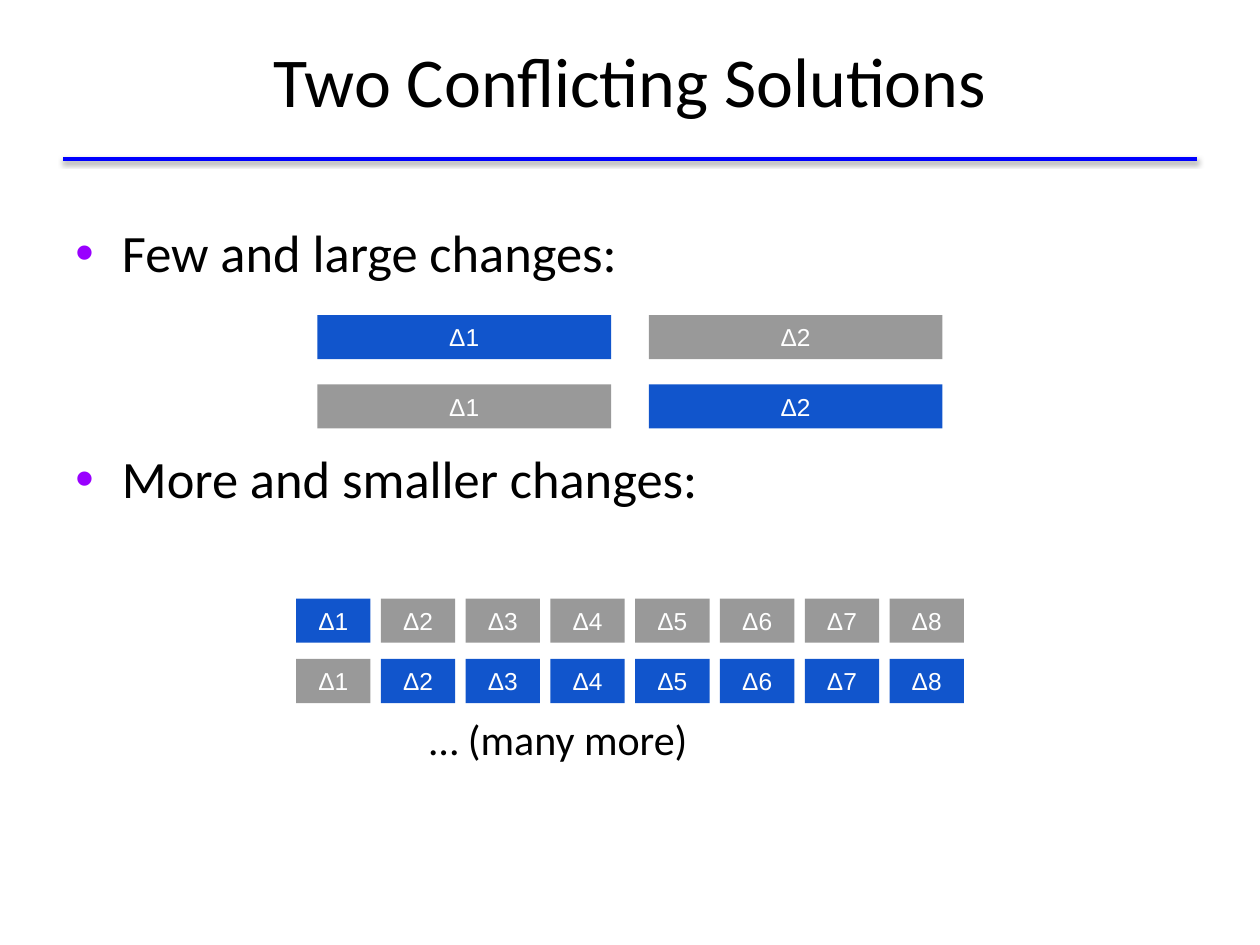
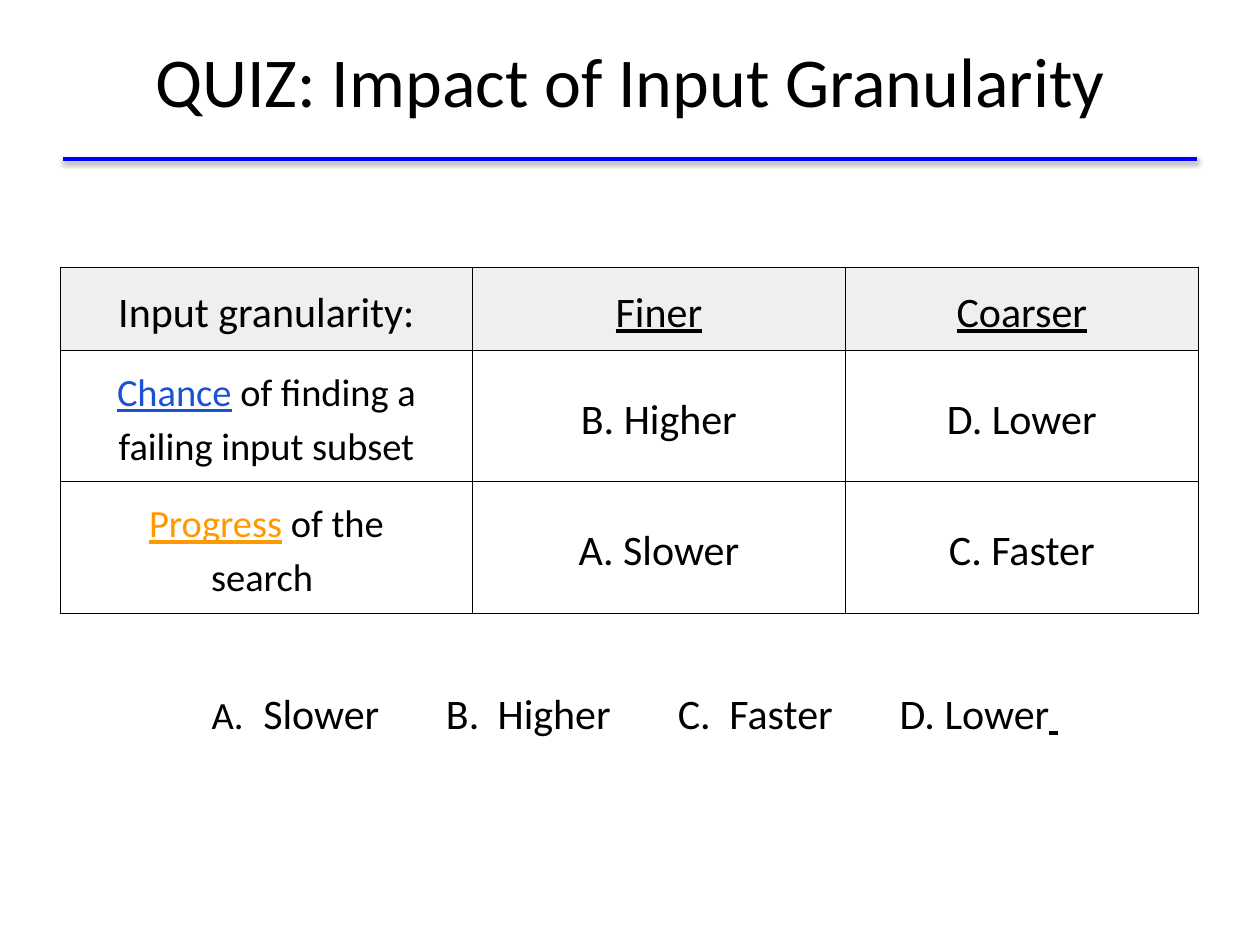
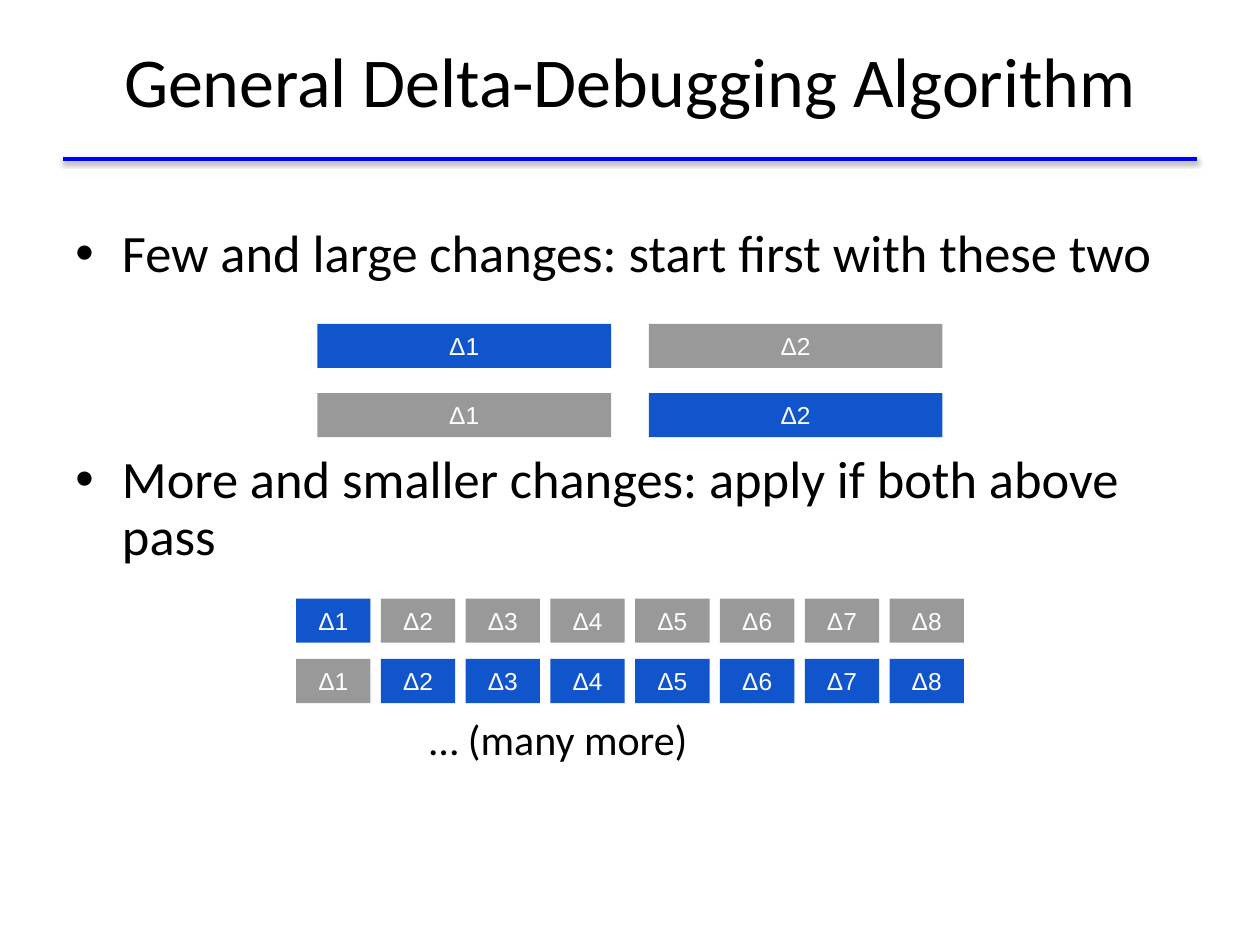
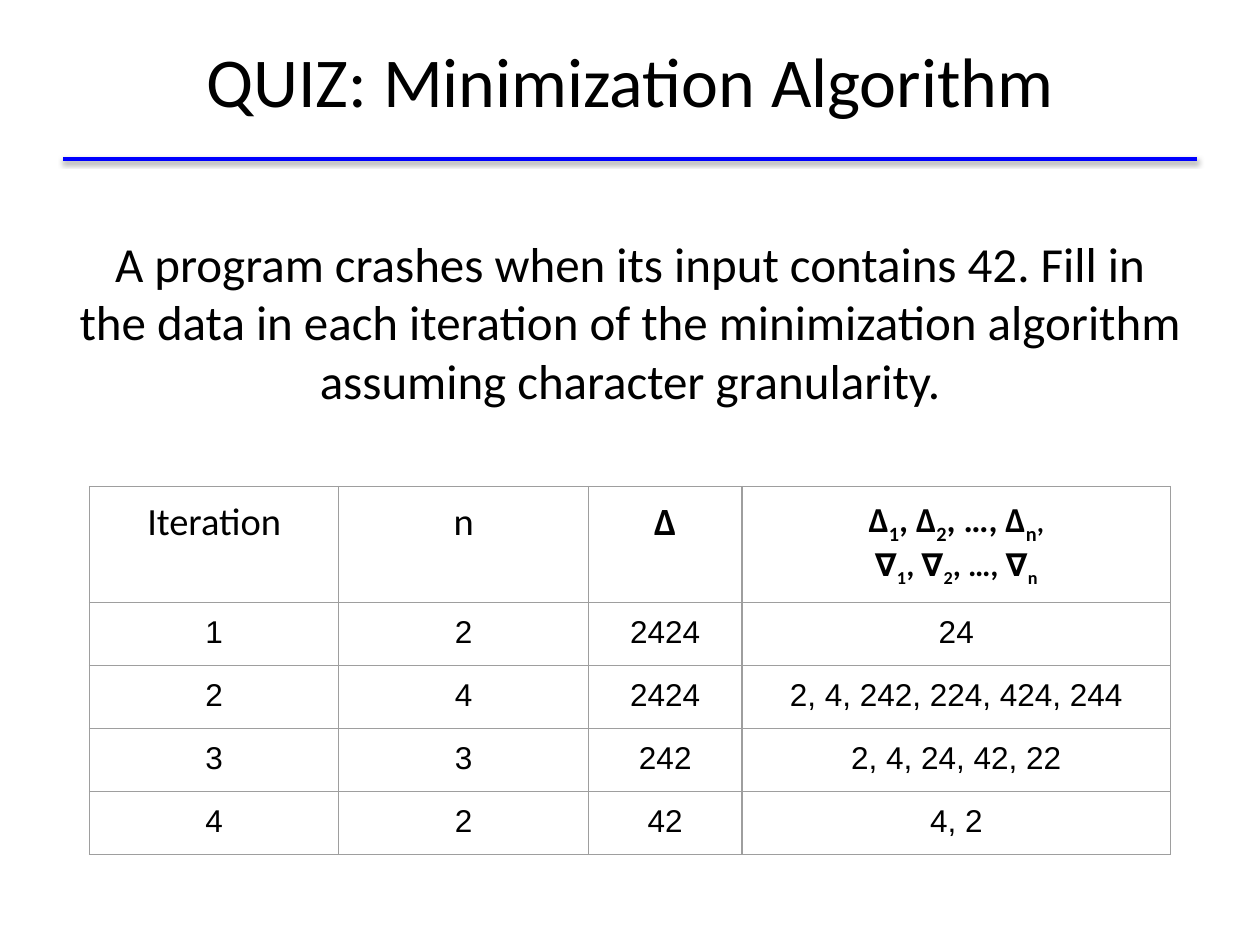
from dataclasses import dataclass
from itertools import product
from typing import Optional

from lxml.etree import SubElement
from pptx import Presentation
from pptx.dml.color import RGBColor
from pptx.enum.shapes import MSO_CONNECTOR, MSO_SHAPE
from pptx.enum.text import MSO_ANCHOR, PP_ALIGN
from pptx.oxml.ns import qn
from pptx.slide import Slide
from pptx.table import Table
from pptx.text.text import TextFrame
from pptx.util import Inches, Pt


@dataclass(frozen=True)
class Theme:
    black: str = "000000"
    white: str = "FFFFFF"
    rule: str = "0000FF"
    blue: str = "1155CC"
    gray: str = "999999"
    violet: str = "9900FF"
    chance: str = "1C51D5"
    orange: str = "FF9900"
    head: str = "EFEFEF"
    edge: str = "9E9E9E"
    font: str = "Calibri"
    plain: str = "Arial"
    title: int = 40
    bullet: int = 30
    prompt: int = 28
    large: int = 24
    label: int = 22
    data: int = 18
    block: int = 14


@dataclass(frozen=True)
class Box:
    left: float
    top: float
    width: float
    height: float

    def emu(self) -> list[int]:
        return [Inches(v) for v in (self.left, self.top, self.width, self.height)]


@dataclass(frozen=True)
class Run:
    text: str
    size: Optional[int] = None
    color: Optional[str] = None
    line: bool = False
    sub: bool = False


@dataclass(frozen=True)
class Blocks:
    left: float
    last: float
    width: float
    count: int
    step: float


T = Theme()
BODY = Box(0.5, 1.75, 9, 4.95)
LARGE = Blocks(2.52, 5.15, 2.33, 2, 0.55)
SMALL = Blocks(2.35, 7.06, 0.59, 8, 0.48)


def write(frame: TextFrame, *parts: str | Run, size: int = T.large, font: str = T.font,
          color: str = T.black, bold: bool = False, align: PP_ALIGN = PP_ALIGN.CENTER,
          space: float = 1, before: float = 0, bullet: Optional[str] = None,
          tabs: tuple[float, ...] = (), more: bool = False) -> None:
    para = frame.add_paragraph() if more else frame.paragraphs[0]
    para.alignment, para.line_spacing, para.space_before = align, space, Pt(before)
    props = para._p.get_or_add_pPr()
    if bullet:
        props.set("marL", str(Inches(0.37)))
        props.set("indent", str(-Inches(0.37)))
        SubElement(SubElement(props, qn("a:buClr")), qn("a:srgbClr"), val=bullet)
        SubElement(props, qn("a:buFont"), typeface=T.plain)
        SubElement(props, qn("a:buChar"), char="•")
    if tabs:
        stops = SubElement(props, qn("a:tabLst"))
        for stop in tabs:
            SubElement(stops, qn("a:tab"), pos=str(Inches(stop)), algn="l")
    for part in parts:
        part = Run(part) if isinstance(part, str) else part
        for i, text in enumerate(part.text.split("\n")):
            if i:
                para.add_line_break()
            if not text:
                continue
            run = para.add_run()
            run.text = text
            run.font.name, run.font.bold = font, bold
            run.font.size = Pt(part.size or size)
            run.font.color.rgb = RGBColor.from_string(part.color or color)
            run.font.underline = part.line
            if part.sub:
                run._r.get_or_add_rPr().set("baseline", "-25000")


def pad(frame: TextFrame, side: float = 0.1, edge: float = 0.1, mid: bool = True) -> TextFrame:
    frame.word_wrap = True
    frame.margin_left = Inches(side)
    frame.margin_right = Inches(0.1)
    frame.margin_top = frame.margin_bottom = Inches(edge)
    frame.vertical_anchor = MSO_ANCHOR.MIDDLE if mid else MSO_ANCHOR.TOP
    return frame


def area(slide: Slide, box: Box, side: float = 0.1, edge: float = 0.1,
         mid: bool = True) -> TextFrame:
    return pad(slide.shapes.add_textbox(*box.emu()).text_frame, side, edge, mid)


def start(deck: Presentation, title: str) -> Slide:
    slide = deck.slides.add_slide(deck.slide_layouts[6])
    rule = slide.shapes.add_connector(MSO_CONNECTOR.STRAIGHT, Inches(0.5), Inches(1.26),
                                      Inches(9.5), Inches(1.26))
    rule.line.color.rgb = RGBColor.from_string(T.rule)
    rule.line.width = Pt(2)
    effect = SubElement(rule._element.spPr, qn("a:effectLst"))
    shade = SubElement(effect, qn("a:outerShdw"), blurRad=str(Pt(3.1)),
                       dist=str(Pt(1.6)), dir="5400000", rotWithShape="0")
    tone = SubElement(shade, qn("a:srgbClr"), val=T.black)
    SubElement(tone, qn("a:alpha"), val="38000")
    write(area(slide, Box(0.5, 0.01, 9, 1.25)), title, size=T.title)
    return slide


def blocks(slide: Slide, top: float, kind: Blocks) -> None:
    pitch = (kind.last - kind.left) / (kind.count - 1)
    for row, col in product(range(2), range(kind.count)):
        box = Box(kind.left + col * pitch, top + row * kind.step, kind.width, 0.35)
        shape = slide.shapes.add_shape(MSO_SHAPE.RECTANGLE, *box.emu())
        shape.shadow.inherit = False
        shape.fill.solid()
        fill = T.blue if (row == 0) == (col == 0) else T.gray
        shape.fill.fore_color.rgb = RGBColor.from_string(fill)
        shape.line.fill.background()
        write(pad(shape.text_frame), f"Δ{col + 1}", size=T.block, font=T.plain, color=T.white)


def changes(deck: Presentation, title: str, few: str, more: str, top: float,
            mark: str) -> None:
    slide = start(deck, title)
    frame = area(slide, BODY, edge=0.05, mid=False)
    style = dict(size=T.bullet, align=PP_ALIGN.LEFT, space=0.9, bullet=mark)
    write(frame, few, **style)
    write(frame, more, before=97, more=True, **style)
    blocks(slide, top, LARGE)
    blocks(slide, 4.75, SMALL)
    write(area(slide, Box(3.31, 5.49, 3.5, 0.79)), "… (many more)",
          align=PP_ALIGN.LEFT, space=0.9)


def grid(slide: Slide, box: Box, cols: list[float], rows: list[float], edge: str) -> Table:
    table = slide.shapes.add_table(len(rows), len(cols), *box.emu()).table
    table.first_row = table.horz_banding = False
    for col, width in zip(table.columns, cols):
        col.width = Inches(width)
    for row, height in zip(table.rows, rows):
        row.height = Inches(height)
    for cell in table.iter_cells():
        cell.margin_left = cell.margin_right = Inches(0.1)
        cell.margin_top = cell.margin_bottom = Inches(0.1)
        props = cell._tc.get_or_add_tcPr()
        for side in ("a:lnL", "a:lnR", "a:lnT", "a:lnB"):
            line = SubElement(props, qn(side), w=str(Pt(0.75)))
            SubElement(SubElement(line, qn("a:solidFill")), qn("a:srgbClr"), val=edge)
        cell.fill.background()
    return table


def impact(deck: Presentation) -> None:
    slide = start(deck, "QUIZ: Impact of Input Granularity")
    rows = [
        [["Input granularity:"], [Run("Finer", line=True)], [Run("Coarser", line=True)]],
        [[Run("Chance", T.label, T.chance, True),
          Run(" of finding a\nfailing input subset", T.label)], ["B. Higher"], ["D. Lower"]],
        [[Run("Progress", T.label, T.orange, True), Run(" of the\nsearch ", T.label)],
         ["A. Slower"], ["C. Faster"]],
    ]
    table = grid(slide, Box(0.48, 2.12, 9.03, 2.75), [3.27, 2.96, 2.8],
                 [0.66, 1.04, 1.04], T.black)
    for r, row in enumerate(rows):
        for c, parts in enumerate(row):
            cell = table.cell(r, c)
            if r == 0:
                cell.fill.solid()
                cell.fill.fore_color.rgb = RGBColor.from_string(T.head)
            elif c:
                cell.vertical_anchor = MSO_ANCHOR.MIDDLE
            write(cell.text_frame, *parts, space=1.15, before=6)
    write(area(slide, Box(0.28, 5.2, 9.44, 0.85), side=1.4), Run("A.", T.label),
          "\tSlower\tB.\tHigher\tC.\tFaster\tD. Lower", Run(" ", T.label, line=True),
          align=PP_ALIGN.LEFT, space=1.15, before=6,
          tabs=(0.41, 1.86, 2.27, 3.7, 4.11, 5.46))


def minimal(deck: Presentation) -> None:
    slide = start(deck, "QUIZ: Minimization Algorithm")
    write(area(slide, BODY, mid=False),
          "A program crashes when its input contains 42. Fill in\nthe data in each iteration "
          "of the minimization algorithm assuming character granularity.", size=T.prompt)
    series = []
    for sign, size, tail in (("Δ", 20, [Run(",\n", 16)]), ("∇", 18, [])):
        for lead, index in (("", "1"), (", ", "2"), (", …, ", "n")):
            series += [Run(lead + sign, size), Run(index, size, sub=True)]
        series += tail
    heads = [["Iteration"], ["n"], ["Δ"], series]
    rows = [
        ("1", "2", "2424", "24"),
        ("2", "4", "2424", "2, 4, 242, 224, 424, 244"),
        ("3", "3", "242", "2, 4, 24, 42, 22"),
        ("4", "2", "42", "4, 2"),
    ]
    table = grid(slide, Box(0.71, 3.86, 8.57, 2.84), [1.98, 1.98, 1.22, 3.4],
                 [0.84] + [0.5] * len(rows), T.edge)
    for c, parts in enumerate(heads):
        write(table.cell(0, c).text_frame, *parts, size=T.label, bold=c > 1)
    for r, row in enumerate(rows, 1):
        for c, text in enumerate(row):
            write(table.cell(r, c).text_frame, text, size=T.data, font=T.plain)


def main() -> None:
    deck = Presentation()
    deck.slide_width, deck.slide_height = Inches(10), Inches(7.5)
    changes(deck, "Two Conflicting Solutions", "Few and large changes:",
            "More and smaller changes:", 2.5, T.violet)
    impact(deck)
    changes(deck, "General Delta-Debugging Algorithm",
            "Few and large changes: start first with these two",
            "More and smaller changes: apply if both above pass", 2.57, T.black)
    minimal(deck)
    deck.save("out.pptx")


if __name__ == "__main__":
    main()
